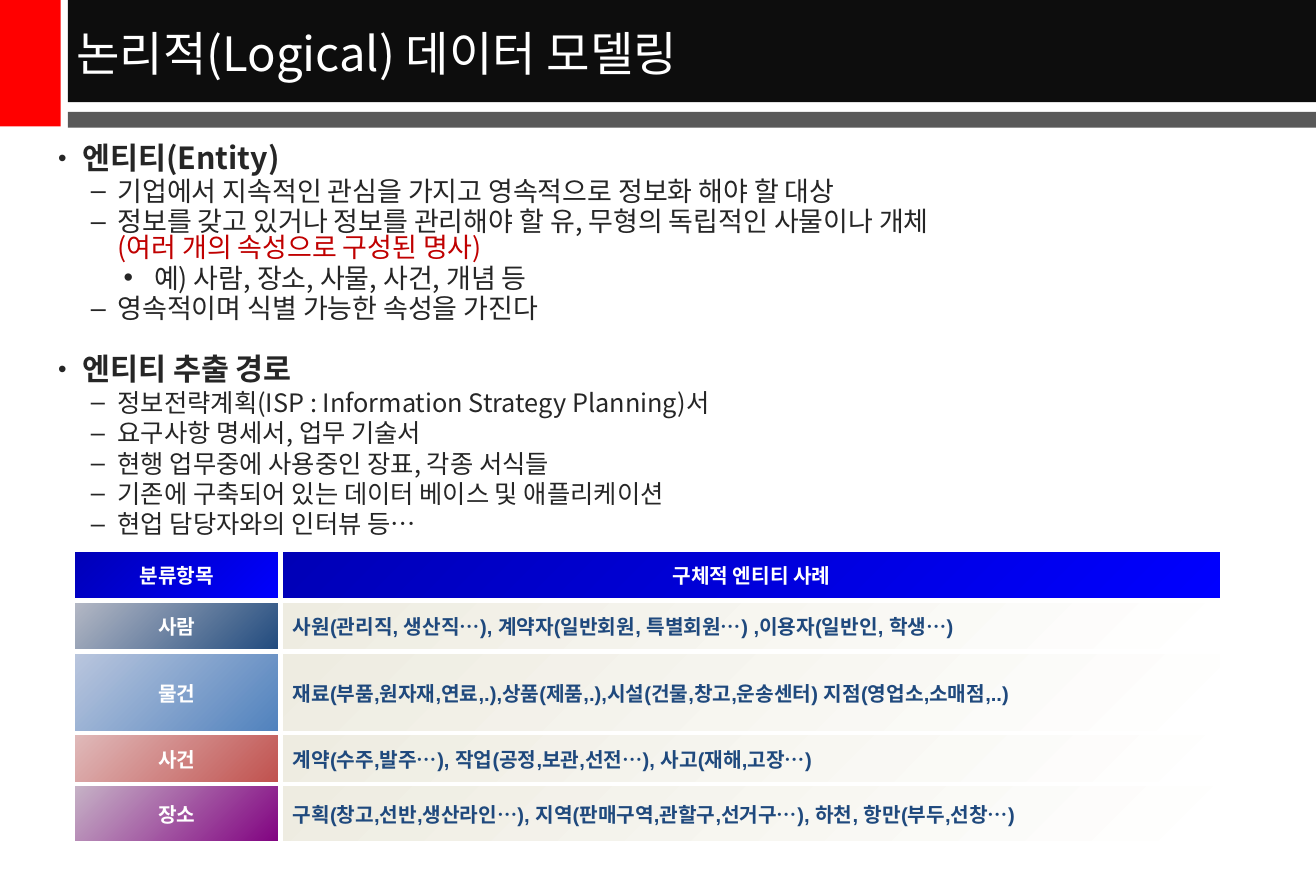
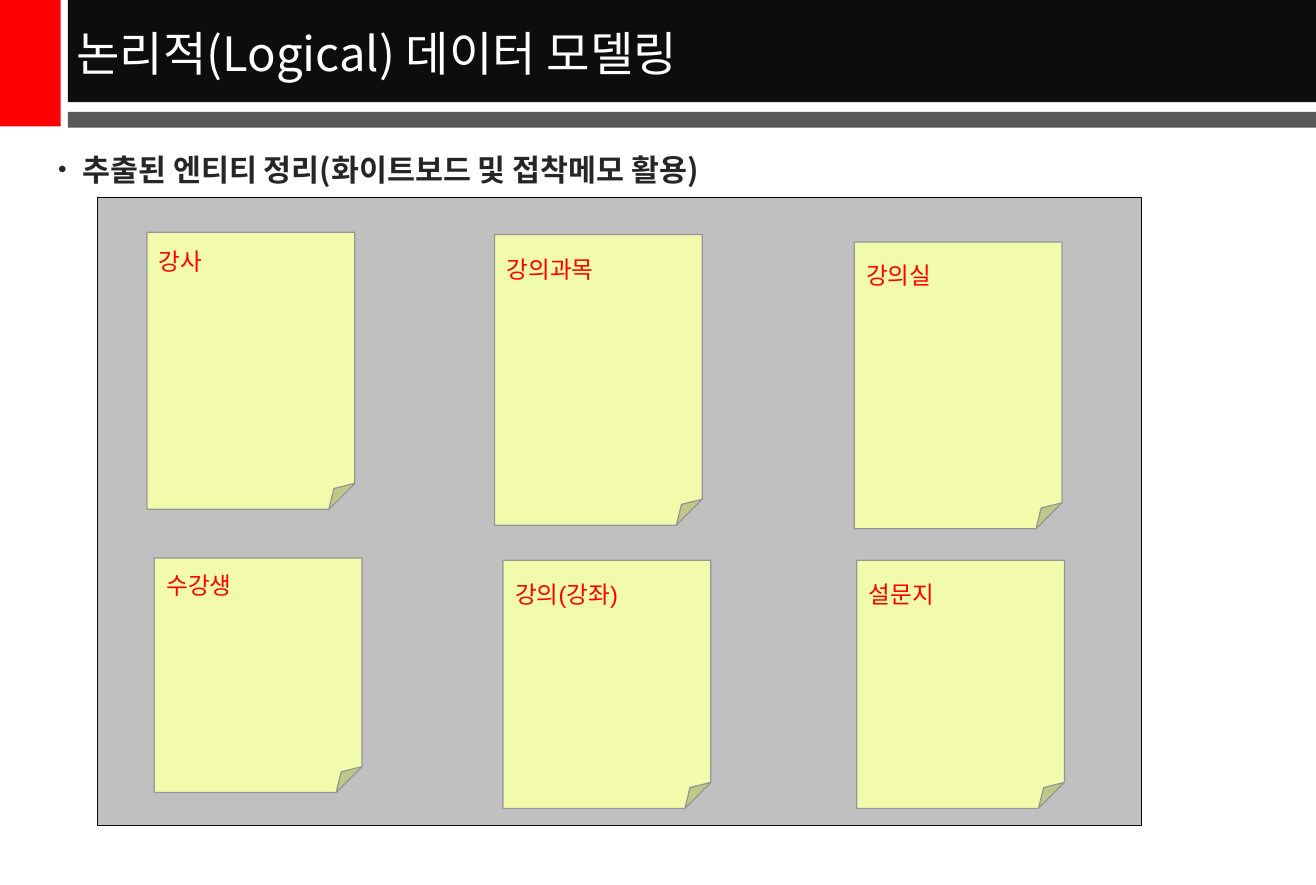
from dataclasses import dataclass

from pptx import Presentation
from pptx import util as u
from pptx.dml.color import RGBColor
from pptx.enum import shapes, text
from pptx.oxml import ns
from pptx.oxml.xmlchemy import OxmlElement


@dataclass(frozen=True)
class Theme:
    sans: str = "Noto Sans CJK KR"
    latin: str = "Arial"
    red: str = "FF0000"
    black: str = "0D0D0D"
    gray: str = "595959"
    white: str = "FFFFFF"
    ink: str = "262626"
    accent: str = "C00000"
    navy: str = "1F497D"
    board: str = "C0C0C0"
    board_line: str = "040807"
    note: str = "F1FBAB"
    note_line: str = "969696"
    header_grad: tuple = ("0000B6", "0000FF")
    example_grad: tuple = ("EEECE1", "FFFFFF")
    title_size: int = 28
    heading_size: int = 18
    item_size: int = 16
    source_size: int = 15
    table_size: int = 12
    note_size: int = 14


THEME = Theme()
TITLE = "논리적(Logical) 데이터 모델링"

# Outline level: left margin, hanging indent, bullet
LEVELS = [(0.2, -0.2, "•"), (0.49, -0.22, "–"), (0.79, -0.25, "•")]

# Level, size, text, text after a line break
OUTLINE = [
    (0, THEME.heading_size, "엔티티(Entity)", ""),
    (1, THEME.item_size, "기업에서 지속적인 관심을 가지고 영속적으로 정보화 해야 할 대상", ""),
    (1, THEME.item_size, "정보를 갖고 있거나 정보를 관리해야 할 유, 무형의 독립적인 사물이나 개체",
     "(여러 개의 속성으로 구성된 명사)"),
    (2, THEME.item_size, "예) 사람, 장소, 사물, 사건, 개념 등", ""),
    (1, THEME.item_size, "영속적이며 식별 가능한 속성을 가진다", ""),
    (0, THEME.heading_size, "엔티티 추출 경로", ""),
    (1, THEME.source_size, "정보전략계획(ISP : Information Strategy Planning)서", ""),
    (1, THEME.source_size, "요구사항 명세서, 업무 기술서", ""),
    (1, THEME.source_size, "현행 업무중에 사용중인 장표, 각종 서식들", ""),
    (1, THEME.source_size, "기존에 구축되어 있는 데이터 베이스 및 애플리케이션", ""),
    (1, THEME.source_size, "현업 담당자와의 인터뷰 등…", ""),
]
NOTES_HEADING = [(0, THEME.heading_size, "추출된 엔티티 정리(화이트보드 및 접착메모 활용)", "")]

# Row height, category, category gradient, examples
ENTITY_ROWS = [
    (0.42, "분류항목", THEME.header_grad, "구체적 엔티티 사례"),
    (0.42, "사람", ("B6BAC6", "1F497D"),
     "사원(관리직, 생산직…), 계약자(일반회원, 특별회원…) ,이용자(일반인, 학생…)"),
    (0.67, "물건", ("BBC7DE", "4F81BD"),
     "재료(부품,원자재,연료,.),상품(제품,.),시설(건물,창고,운송센터) 지점(영업소,소매점,..)"),
    (0.42, "사건", ("E0BBBB", "C0504D"),
     "계약(수주,발주…), 작업(공정,보관,선전…), 사고(재해,고장…)"),
    (0.49, "장소", ("C7B5C7", "800080"),
     "구획(창고,선반,생산라인…), 지역(판매구역,관할구,선거구…), 하천, 항만(부두,선창…)"),
]

# Left, top, height, top inset, label
NOTE_WIDTH = 1.71
NOTES = [
    (1.21, 1.91, 2.28, 0.12, "강사"),
    (4.07, 1.93, 2.39, 0.17, "강의과목"),
    (7.03, 1.99, 2.36, 0.16, "강의실"),
    (1.27, 4.59, 1.93, 0.11, "수강생"),
    (4.14, 4.61, 2.04, 0.16, "강의(강좌)"),
    (7.05, 4.61, 2.04, 0.16, "설문지"),
]


def rgb(color):
    return RGBColor.from_string(color)


def add_element(parent, tag, **attributes):
    child = OxmlElement(tag)
    for name, value in attributes.items():
        child.set(name, value)
    parent.append(child)
    return child


def set_font(para, size, color, latin, bold=False):
    font = para.font
    font.size, font.bold, font.name = u.Pt(size), bold, latin
    font.color.rgb = rgb(color)
    add_element(para._p.pPr.find(ns.qn("a:defRPr")), "a:ea", typeface=THEME.sans)


def add_box(page, kind, at, fill, line=None, line_width=0):
    box = page.shapes.add_shape(kind, *map(u.Inches, at))
    box.shadow.inherit = False
    box.fill.solid()
    box.fill.fore_color.rgb = rgb(fill)
    if line:
        box.line.color.rgb = rgb(line)
        box.line.width = u.Pt(line_width)
    else:
        box.line.fill.background()
    return box


def add_bands(page):
    """Draw the header bands and hand them to the layout that all pages share."""
    bands = [
        ((0, 0, 0.5, 1.04), THEME.red),
        ((0.56, 0, 10.27, 0.84), THEME.black),
        ((0.56, 0.92, 10.27, 0.13), THEME.gray),
    ]
    for at, fill in bands:
        band = add_box(page, shapes.MSO_SHAPE.RECTANGLE, at, fill)
        page.slide_layout.shapes.element.append(band.element)


def add_page(deck):
    page = deck.slides.add_slide(deck.slide_layouts[5])
    title = page.shapes.title
    title.left, title.top = u.Inches(0.53), u.Inches(0.02)
    title.width, title.height = u.Inches(10.3), u.Inches(0.82)
    title.text_frame.text = TITLE
    title.text_frame.vertical_anchor = text.MSO_ANCHOR.MIDDLE
    para = title.text_frame.paragraphs[0]
    para.alignment = text.PP_ALIGN.LEFT
    set_font(para, THEME.title_size, THEME.white, THEME.sans)
    return page


def set_bullet(para, level):
    margin, indent, symbol = LEVELS[level]
    props = para._p.get_or_add_pPr()
    props.set("marL", str(u.Inches(margin)))
    props.set("indent", str(u.Inches(indent)))
    if level == 0:
        add_element(props, "a:buSzPct", val="80000")
    add_element(props, "a:buFont", typeface=THEME.latin)
    add_element(props, "a:buChar", char=symbol)


def add_outline(page, entries, line_height=None):
    box = page.shapes.add_textbox(*map(u.Inches, (0.38, 1.19, 10.07, 5.43)))
    frame = box.text_frame
    frame.word_wrap = True
    for index, (level, size, words, remark) in enumerate(entries):
        para = frame.add_paragraph() if index else frame.paragraphs[0]
        para.level = level
        para.add_run().text = words
        if line_height:
            para.line_spacing = u.Pt(line_height)
        if index:
            # A later heading opens a new section, one line further down
            para.space_before = u.Pt(size * 0.2 if level else 22.2)
        set_bullet(para, level)
        set_font(para, size, THEME.ink, THEME.sans, bold=level == 0)
        if remark:
            para.add_line_break()
            span = para.add_run()
            span.text = remark
            span.font.color.rgb = rgb(THEME.accent)


def set_borders(cell, color, width):
    props = cell._tc.get_or_add_tcPr()
    for side in ("a:lnL", "a:lnR", "a:lnT", "a:lnB"):
        line = add_element(props, side, w=str(u.Pt(width)))
        add_element(add_element(line, "a:solidFill"), "a:srgbClr", val=color)


def fill_cell(cell, words, gradient, color, centered):
    set_borders(cell, THEME.white, 3)
    cell.fill.gradient()
    cell.fill.gradient_angle = 315
    for stop, tint in zip(cell.fill.gradient_stops, gradient):
        stop.color.rgb = rgb(tint)
    cell.vertical_anchor = text.MSO_ANCHOR.MIDDLE
    cell.text = words
    para = cell.text_frame.paragraphs[0]
    para.alignment = text.PP_ALIGN.CENTER if centered else text.PP_ALIGN.LEFT
    set_font(para, THEME.table_size, color, THEME.latin, bold=True)


def add_entity_table(page):
    at = (0.6, 4.52, 9.46, sum(row[0] for row in ENTITY_ROWS))
    table = page.shapes.add_table(len(ENTITY_ROWS), 2, *map(u.Inches, at)).table
    table.first_row = table.horz_banding = False
    for column, width in zip(table.columns, (1.71, 7.75)):
        column.width = u.Inches(width)
    for index, (height, category, gradient, examples) in enumerate(ENTITY_ROWS):
        table.rows[index].height = u.Inches(height)
        fill_cell(table.cell(index, 0), category, gradient, THEME.white, True)
        header = index == 0
        fill_cell(table.cell(index, 1), examples,
                  gradient if header else THEME.example_grad,
                  THEME.white if header else THEME.navy, header)


def add_note(page, left, top, height, inset, label):
    note = add_box(page, shapes.MSO_SHAPE.FOLDED_CORNER, (left, top, NOTE_WIDTH, height),
                   THEME.note, THEME.note_line, 0.75)
    # Size of the folded corner
    guides = note.element.find(".//" + ns.qn("a:avLst"))
    for guide in list(guides):
        guides.remove(guide)
    add_element(guides, "a:gd", name="adj", fmla="val 12500")
    frame = note.text_frame
    frame.word_wrap = True
    frame.margin_top = u.Inches(inset)
    frame.vertical_anchor = text.MSO_ANCHOR.TOP
    frame.text = label
    para = frame.paragraphs[0]
    para.alignment = text.PP_ALIGN.LEFT
    set_font(para, THEME.note_size, THEME.red, THEME.latin)


def main():
    deck = Presentation()
    deck.slide_width, deck.slide_height = u.Inches(10.83), u.Inches(7.28)

    # Entity definition and sources
    page = add_page(deck)
    add_bands(page)
    add_outline(page, OUTLINE, line_height=15)
    add_entity_table(page)

    # Whiteboard with entity notes
    page = add_page(deck)
    add_outline(page, NOTES_HEADING)
    add_box(page, shapes.MSO_SHAPE.RECTANGLE, (0.8, 1.62, 8.59, 5.17),
            THEME.board, THEME.board_line, 0.25)
    for note in NOTES:
        add_note(page, *note)

    deck.save("out.pptx")


if __name__ == "__main__":
    main()
